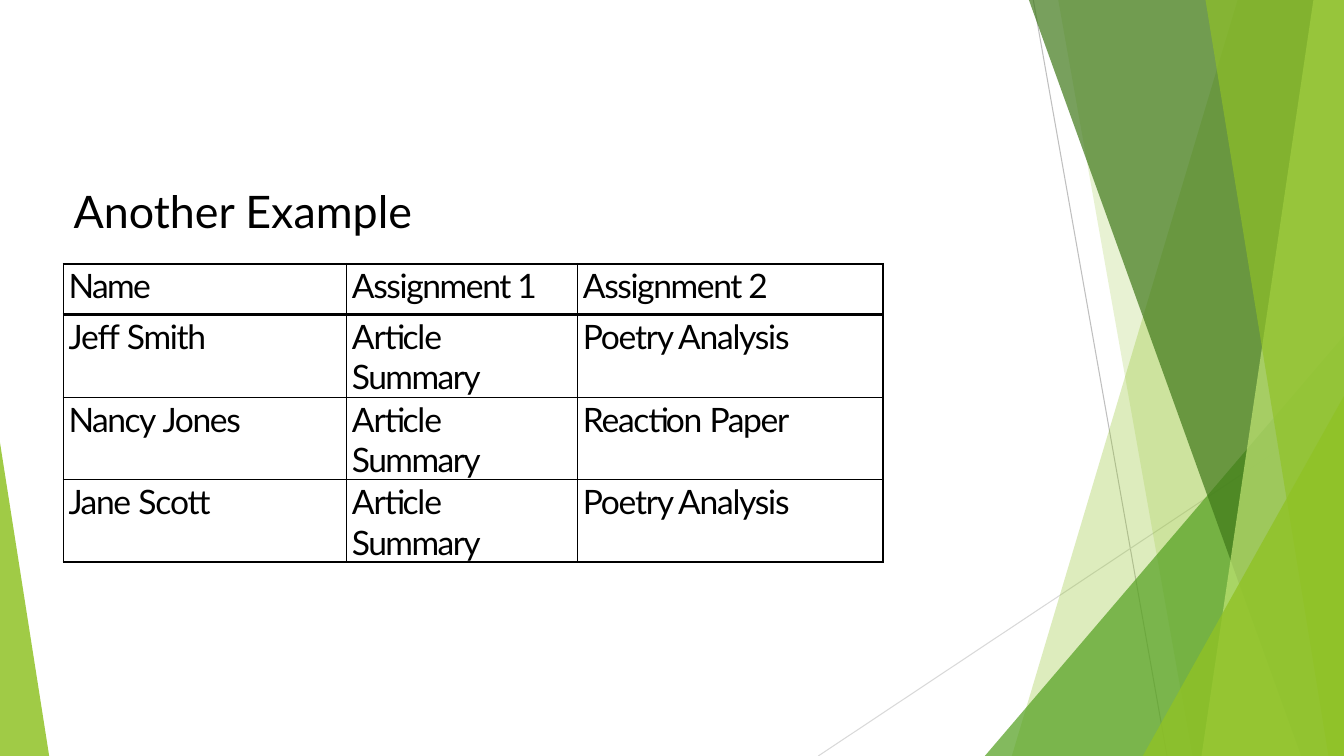
import dataclasses

import lxml.etree
import pptx
import pptx.dml.color
import pptx.enum.shapes
import pptx.enum.text
import pptx.oxml.ns
import pptx.util

Cm = pptx.util.Cm
Pt = pptx.util.Pt
qn = pptx.oxml.ns.qn

WIDTH, HEIGHT = 33.87, 19.05
FONT = "Lato"
COLORS = {
    "text": "000000",
    "lime": "90C226",
    "pale": "C0E474",
    "green": "54A021",
    "forest": "3F7819",
    "steep": "BFBFBF",
    "shallow": "D9D9D9",
}


@dataclasses.dataclass
class Ray:
    x1: float
    y1: float
    x2: float
    y2: float
    color: str


@dataclasses.dataclass
class Shard:
    top_x: float
    bottom_x: float
    color: str
    opacity: int


@dataclasses.dataclass
class Wedge:
    left: float
    top: float
    width: float
    apex: int
    color: str
    opacity: int


RAYS = [
    Ray(26.04, 0, 29.41, HEIGHT, "steep"),
    Ray(WIDTH, 10.24, 20.62, HEIGHT, "shallow"),
]
FACETS = [
    Shard(31.19, 25.5, "lime", 30),
    Shard(26.67, 30.05, "lime", 20),
    Wedge(24.82, 8.46, 9.05, 1, "green", 72),
    Shard(25.93, 32.79, "forest", 70),
    Shard(33.1, 30.28, "pale", 70),
    Shard(30.38, 33.48, "lime", 65),
    Wedge(28.8, 9.98, 5.07, 1, "lime", 80),
    Wedge(0, 11.15, 1.24, 0, "lime", 85),
]

COLUMNS = [7.14, 5.82, 7.7]
ROWS = [1.27, 1.35, 1.35, 1.37]
ARTICLE = [("Article ", -0.8), ("Summary", -1.1)]
POETRY = [("Poetry Analysis", -0.9)]
CELLS = [
    [[("Name", -1.2)], [("Assignment 1", -1)], [("Assignment 2", -1)]],
    [[("Jeff ", -0.8), ("Smith", -0.9)], ARTICLE, POETRY],
    [[("Nancy ", -1.1), ("Jones", -1)], ARTICLE, [("Reaction ", -0.9), ("Paper", -1)]],
    [[("Jane ", -1), ("Scott", -0.8)], ARTICLE, POETRY],
]
ROW_RULES = [1.5, 2.25, 0.5, 0.5, 1.5]
COLUMN_RULES = [1.5, 0.5, 0.5, 1.5]


def rgb(name: str) -> pptx.dml.color.RGBColor:
    return pptx.dml.color.RGBColor.from_string(COLORS[name])


def add_text(p, text: str, size: float, color: str = "text", spacing: float = 0) -> None:
    r = p.add_run()
    r.text = text
    r.font.name = FONT
    r.font.size = Pt(size)
    r.font.color.rgb = rgb(color)
    if spacing:
        r._r.get_or_add_rPr().set("spc", str(round(spacing * 100)))


def draw_ray(s, ray: Ray) -> None:
    line = s.shapes.add_connector(
        pptx.enum.shapes.MSO_CONNECTOR.STRAIGHT,
        Cm(ray.x1), Cm(ray.y1), Cm(ray.x2), Cm(ray.y2),
    )
    line.line.color.rgb = rgb(ray.color)
    line.line.width = Pt(0.75)
    lxml.etree.SubElement(line._element.spPr, qn("a:effectLst"))


def draw_facet(s, facet: Shard | Wedge) -> None:
    if isinstance(facet, Shard):
        builder = s.shapes.build_freeform(Cm(facet.top_x), 0)
        corners = [(WIDTH, 0), (WIDTH, HEIGHT), (facet.bottom_x, HEIGHT)]
        builder.add_line_segments([(Cm(x), Cm(y)) for x, y in corners])
        sp = builder.convert_to_shape()
    else:
        sp = s.shapes.add_shape(
            pptx.enum.shapes.MSO_SHAPE.ISOSCELES_TRIANGLE,
            Cm(facet.left), Cm(facet.top), Cm(facet.width), Cm(HEIGHT - facet.top),
        )
        sp.adjustments[0] = facet.apex
    sp.shadow.inherit = False
    sp.fill.solid()
    sp.fill.fore_color.rgb = rgb(facet.color)
    color = sp._element.spPr.find(f"{qn('a:solidFill')}/{qn('a:srgbClr')}")
    lxml.etree.SubElement(color, qn("a:alpha"), val=str(facet.opacity * 1000))
    sp.line.fill.background()


def set_border(cell, side: str, width: float) -> None:
    line = lxml.etree.SubElement(
        cell._tc.get_or_add_tcPr(), qn(f"a:ln{side}"), w=str(Pt(width))
    )
    fill = lxml.etree.SubElement(line, qn("a:solidFill"))
    lxml.etree.SubElement(fill, qn("a:srgbClr"), val=COLORS["text"])


def draw_table(s) -> None:
    table = s.shapes.add_table(
        len(ROWS), len(COLUMNS), Cm(1.6), Cm(6.65), Cm(sum(COLUMNS)), Cm(sum(ROWS))
    ).table
    table.first_row = False
    table.horz_banding = False
    for column, width in zip(table.columns, COLUMNS):
        column.width = Cm(width)
    for i, height in enumerate(ROWS):
        table.rows[i].height = Cm(height)
        for j, parts in enumerate(CELLS[i]):
            cell = table.cell(i, j)
            cell.margin_left = cell.margin_right = cell.margin_bottom = 0
            cell.margin_top = Cm(0.05)
            set_border(cell, "L", COLUMN_RULES[j])
            set_border(cell, "R", COLUMN_RULES[j + 1])
            set_border(cell, "T", ROW_RULES[i])
            set_border(cell, "B", ROW_RULES[i + 1])
            cell.fill.background()
            p = cell.text_frame.paragraphs[0]
            p._p.get_or_add_pPr().set("marL", str(Cm(0.13)))
            for text, spacing in parts:
                add_text(p, text, size=24, spacing=spacing)


def draw_title(s) -> None:
    title = s.shapes.title
    title.left, title.top, title.width, title.height = Cm(1.6), Cm(4.5), Cm(12.83), Cm(1.63)
    tf = title.text_frame
    tf.word_wrap = True
    tf.auto_size = pptx.enum.text.MSO_AUTO_SIZE.SHAPE_TO_FIT_TEXT
    tf.vertical_anchor = pptx.enum.text.MSO_ANCHOR.TOP
    p = tf.paragraphs[0]
    p.alignment = pptx.enum.text.PP_ALIGN.LEFT
    add_text(p, "Another Example", size=32)


def main() -> None:
    prs = pptx.Presentation()
    prs.slide_width, prs.slide_height = Cm(WIDTH), Cm(HEIGHT)
    s = prs.slides.add_slide(prs.slide_layouts[5])
    for ray in RAYS:
        draw_ray(s, ray)
    for facet in FACETS:
        draw_facet(s, facet)
    draw_table(s)
    draw_title(s)
    prs.save("out.pptx")


if __name__ == "__main__":
    main()
